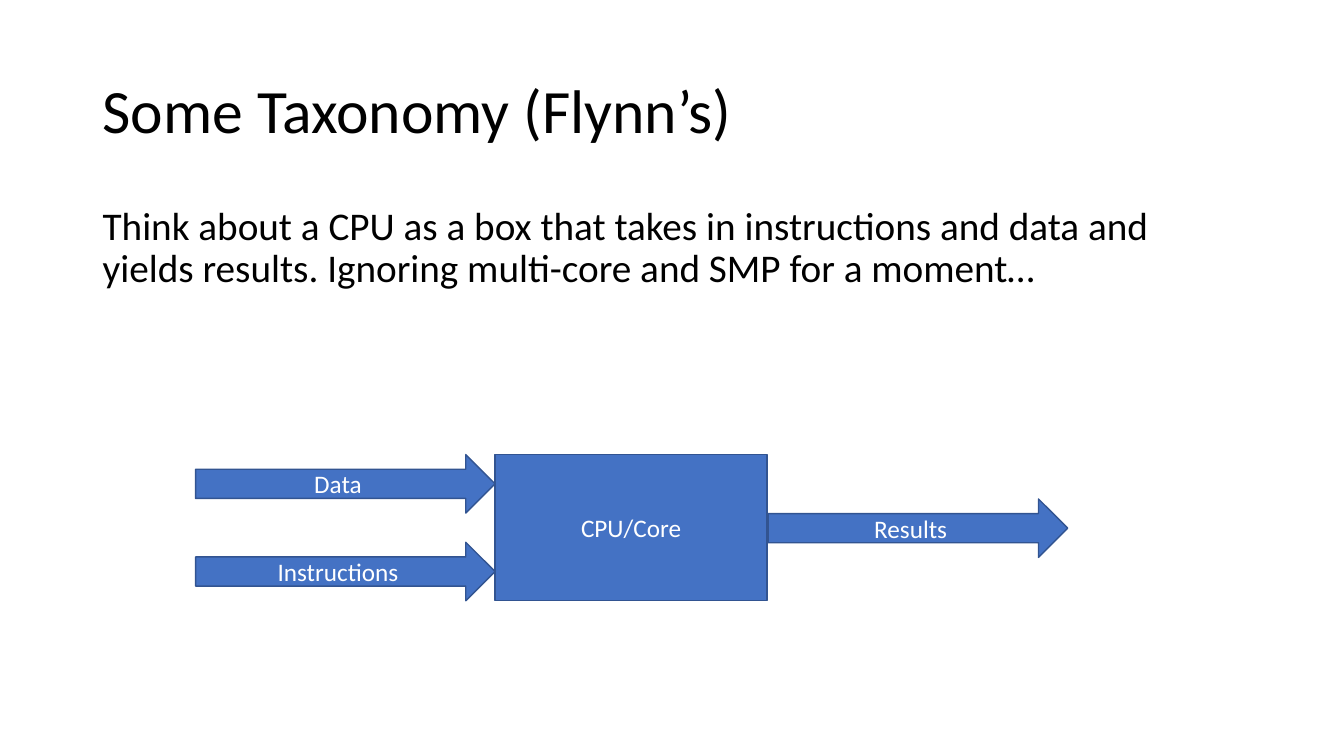
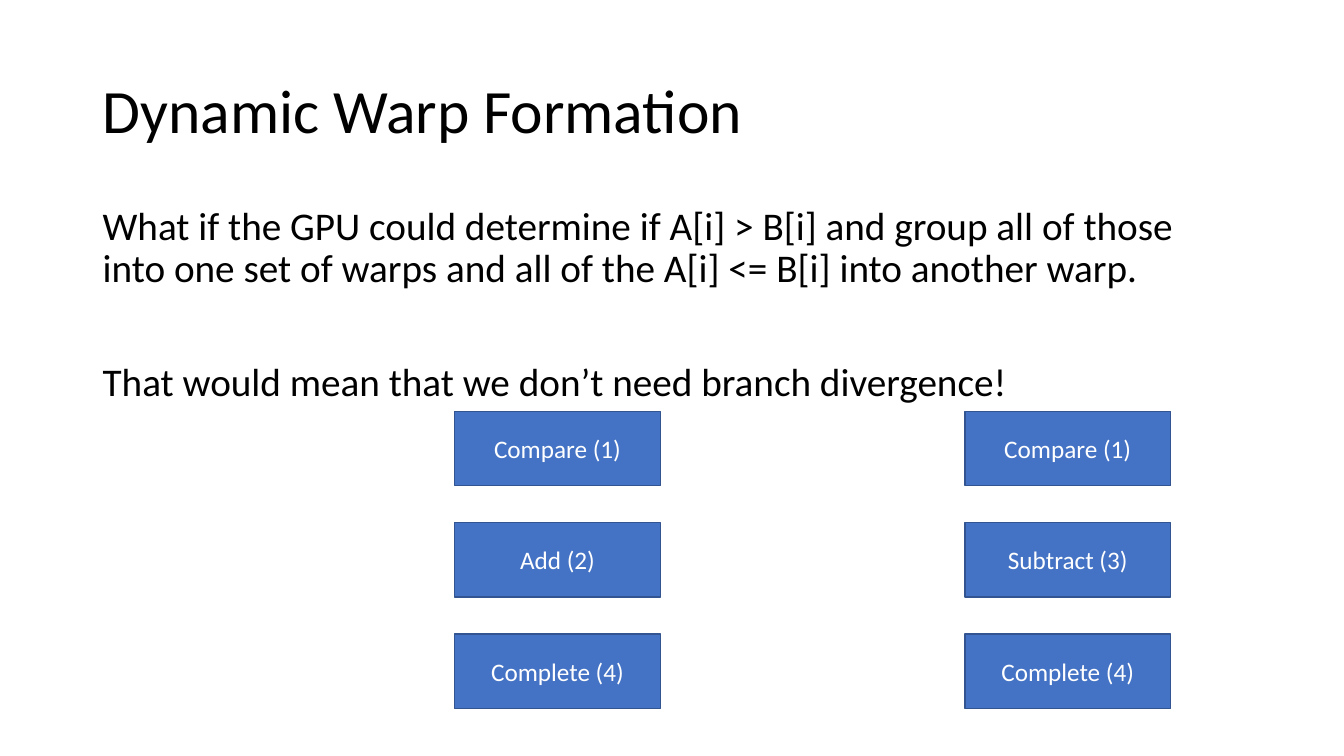
from pptx import Presentation
from pptx.dml.color import RGBColor
from pptx.enum import shapes, text
from pptx.util import Inches, Pt

BLACK = RGBColor(0x00, 0x00, 0x00)
WHITE = RGBColor(0xFF, 0xFF, 0xFF)
BLUE = RGBColor(0x44, 0x72, 0xC4)
NAVY = RGBColor(0x32, 0x54, 0x91)
FONT = "Calibri"
RECT = shapes.MSO_SHAPE.RECTANGLE
ARROW = shapes.MSO_SHAPE.RIGHT_ARROW
MID = text.MSO_ANCHOR.MIDDLE

deck = Presentation()
deck.slide_width, deck.slide_height = Inches(13.33), Inches(7.5)


def write(para, words, size, color):
    run = para.add_run()
    run.text = words
    run.font.name, run.font.size = FONT, Pt(size)
    run.font.color.rgb = color


def block(slide, kind, words, left, top, width, height):
    box = slide.shapes.add_shape(
        kind, Inches(left), Inches(top), Inches(width), Inches(height))
    box.shadow.inherit = False
    box.fill.solid()
    box.fill.fore_color.rgb = BLUE
    box.line.color.rgb = NAVY
    box.line.width = Pt(1)
    frame = box.text_frame
    frame.vertical_anchor = MID
    frame.paragraphs[0].alignment = text.PP_ALIGN.CENTER
    write(frame.paragraphs[0], words, 18, WHITE)


# Title and body of each slide; body lines carry their space before
pages = [
    ("Some Taxonomy (Flynn’s)", 1.11, [
        ("Think about a CPU as a box that takes in instructions and data and "
         "yields results. Ignoring multi-core and SMP for a moment…", 10)]),
    ("Dynamic Warp Formation", 4.76, [
        ("What if the GPU could determine if A[i] > B[i] and group all of those "
         "into one set of warps and all of the A[i] <= B[i] into another warp.", 10),
        ("That would mean that we don’t need branch divergence!", 50.8)]),
]
slides = []
for title, tall, body in pages:
    slide = deck.slides.add_slide(deck.slide_layouts[6])
    slides.append(slide)
    parts = [(0.4, 1.45, 44, MID, [(title, 0)]),
             (2, tall, 28, text.MSO_ANCHOR.TOP, body)]
    for top, height, size, anchor, lines in parts:
        box = slide.shapes.add_textbox(
            Inches(0.92), Inches(top), Inches(11.5), Inches(height))
        frame = box.text_frame
        frame.word_wrap = True
        frame.vertical_anchor = anchor
        for i, (words, gap) in enumerate(lines):
            para = frame.add_paragraph() if i else frame.paragraphs[0]
            para.line_spacing = 0.9
            para.space_before = Pt(gap)
            write(para, words, size, BLACK)

flow, warp = slides

# Processor with its inputs and output
block(flow, RECT, "CPU/Core", 4.91, 4.51, 2.7, 1.45)
for words, left, top in [("Data", 1.94, 4.51),
                         ("Instructions", 1.94, 5.38),
                         ("Results", 7.62, 4.95)]:
    block(flow, ARROW, words, left, top, 2.97, 0.58)

# One column of steps for each warp
first, last = 4.08, 6.29
for left, step in [(4.51, "Add (2)"), (9.57, "Subtract (3)")]:
    for row, words in enumerate(["Compare (1)", step, "Complete (4)"]):
        block(warp, RECT, words, left, first + row * (last - first) / 2, 2.04, 0.74)

deck.save("out.pptx")
